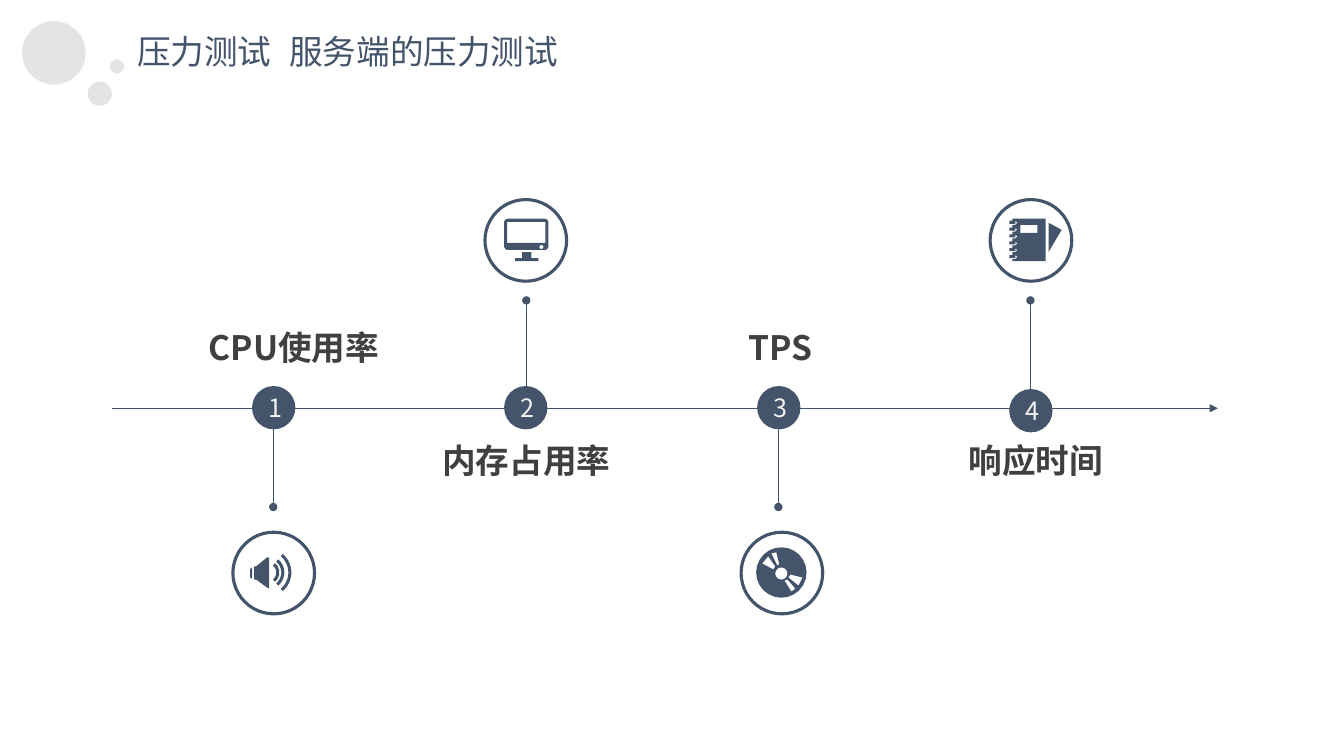
from math import cos, radians, sin

from lxml import etree
from pptx import Presentation
from pptx.dml.color import RGBColor
from pptx.enum.shapes import MSO_CONNECTOR, MSO_SHAPE
from pptx.enum.text import MSO_ANCHOR, PP_ALIGN
from pptx.oxml.ns import qn
from pptx.util import Inches, Pt

OVAL, BUBBLE = MSO_SHAPE.OVAL, MSO_SHAPE.FLOWCHART_CONNECTOR
STRAIGHT = MSO_CONNECTOR.STRAIGHT
TOP, MIDDLE = MSO_ANCHOR.TOP, MSO_ANCHOR.MIDDLE
LEFT, CENTER = PP_ALIGN.LEFT, PP_ALIGN.CENTER
FACE = "Noto Sans CJK SC"
HUES = {"navy": "44546A", "grey": "D9D9D9", "dark": "404040", "pale": "F2F2F2"}
HUES = {name: RGBColor.from_string(code) for name, code in HUES.items()}
HEAD = {"size": Pt(24), "name": FACE, "bold": False}
LABEL = {"size": Pt(24), "name": FACE, "bold": True}
DIGIT = {"size": Pt(18), "name": FACE, "bold": False}


def write(shape, text, style, hue, align=LEFT, anchor=TOP):
    frame = shape.text_frame
    frame.word_wrap, frame.vertical_anchor = True, anchor
    para = frame.paragraphs[0]
    para.alignment = align
    run = para.add_run()
    run.text = text
    for key, value in style.items():
        setattr(run.font, key, value)
    run.font.color.rgb = HUES[hue]
    etree.SubElement(run.font._element, qn("a:ea"), typeface=FACE)
    return para


def arc(x, y, r, start=0, end=360):
    """Points on a circle from one angle to another, in degrees."""
    turns = [radians(start + (end - start) * i / 24) for i in range(25)]
    return [(x + r * cos(t), y + r * sin(t)) for t in turns]


deck = Presentation()
deck.slide_width, deck.slide_height = Inches(13.33), Inches(7.5)
slide = deck.slides.add_slide(deck.slide_layouts[5])
shapes = slide.shapes
painted = []  # shape, fill, line width

# Heading
title = shapes.title
title.left, title.top = Inches(1.26), Inches(0.26)
title.width, title.height = Inches(1.53), Inches(0.5)
title.text_frame.margin_right = 0
write(title, "压力测试", HEAD, "navy")
topic = shapes.add_textbox(Inches(2.77), Inches(0.26), Inches(3.39), Inches(0.5))
write(topic, "服务端的压力测试", HEAD, "navy")

bubbles = []
for x, y, size in [(0.22, 0.21, 0.63), (0.87, 0.81, 0.24), (1.09, 0.59, 0.14)]:
    bubble = shapes.add_shape(BUBBLE, Inches(x), Inches(y), Inches(size), Inches(size))
    bubbles.append(bubble)
    painted.append((bubble, "grey", 0))

# Axis and stems
lines = [((1.11, 4.05), (12.08, 4.05), {"tailEnd": "triangle"})]
for x, top, low in [(2.71, 4.04, 5.03), (5.22, 2.98, 3.96),
                    (7.72, 4.04, 5.03), (10.22, 2.98, 3.96)]:
    lines.append(((x, top), (x, low), {"headEnd": "oval", "tailEnd": "oval"}))
for start, end, tips in lines:
    line = shapes.add_connector(STRAIGHT, *map(Inches, start + end))
    line.line.color.rgb, line.line.width = HUES["navy"], Pt(0.5)
    for tag, kind in tips.items():
        etree.SubElement(line.line._get_or_add_ln(), qn("a:" + tag), type=kind)
    etree.SubElement(line._element.spPr, qn("a:effectLst"))

# Steps: number dot, icon ring, label
steps = [
    ((2.5, 3.83), (2.31, 5.28), (1.87, 3.23, 2.09), "CPU使用率"),
    ((5, 3.83), (4.81, 1.98), (4.21, 4.35, 2.02), "内存占用率"),
    ((7.51, 3.83), (7.35, 5.28), (7.02, 3.23, 1.45), "TPS"),
    ((10.01, 3.86), (9.82, 1.98), (9.31, 4.35, 1.93), "响应时间"),
]
for number, (spot, ring, place, name) in enumerate(steps, 1):
    dot = shapes.add_shape(OVAL, *map(Inches, spot + (0.43, 0.43)))
    write(dot, str(number), DIGIT, "pale", CENTER, MIDDLE)
    circle = shapes.add_shape(OVAL, *map(Inches, ring + (0.81, 0.81)))
    painted += [(dot, "navy", 0), (circle, None, 2.25)]
    label = shapes.add_textbox(*map(Inches, place + (0.48,)))
    write(label, name, LABEL, "dark", CENTER).line_spacing = 0.94

# Icons, each a list of outlines
speaker = [
    [(2.65, 5.53), (2.67, 5.53), (2.67, 5.84), (2.65, 5.83),
     (2.54, 5.75), (2.52, 5.75), (2.52, 5.62), (2.54, 5.62)],
    [(2.48, 5.65), (2.5, 5.63), (2.5, 5.74), (2.48, 5.73)],
]
for r in (0.12, 0.17, 0.24):
    speaker.append(arc(2.65, 5.68, r, -50, 50) + arc(2.65, 5.68, r - 0.03, 50, -50))

screen = [
    arc(5.04, 2.21, 0.04, 180, 270) + arc(5.4, 2.21, 0.04, 270, 360)
    + arc(5.4, 2.44, 0.04, 0, 90) + arc(5.04, 2.44, 0.04, 90, 180),
    [(5.03, 2.2), (5.41, 2.2), (5.41, 2.41), (5.03, 2.41)],
    arc(5.37, 2.45, 0.02),
    [(5.18, 2.5), (5.27, 2.5), (5.27, 2.56), (5.34, 2.56),
     (5.34, 2.59), (5.11, 2.59), (5.11, 2.56), (5.18, 2.56)],
]
disc = [
    arc(7.75, 5.68, 0.25),
    arc(7.75, 5.69, 0.06),
    [(7.71, 5.61), (7.73, 5.6), (7.7, 5.48), (7.65, 5.49)],
    [(7.56, 5.59), (7.67, 5.65), (7.69, 5.62), (7.62, 5.52)],
    [(7.81, 5.75), (7.78, 5.76), (7.85, 5.87), (7.89, 5.84)],
    [(7.96, 5.73), (7.84, 5.7), (7.82, 5.73), (7.92, 5.81)],
]
cover = [(10.04, 2.59), (10.37, 2.59), (10.37, 2.17), (10.04, 2.17)]
for i in range(6):
    y = 2.19 + 0.068 * i
    cover += [(10.04, y), (10.01, y), (10.01, y + 0.03), (10.07, y + 0.03),
              (10.07, y), (10.09, y + 0.02), (10.07, y + 0.04), (10.04, y + 0.04)]
book = [
    cover,
    [(10.12, 2.23), (10.29, 2.23), (10.29, 2.31), (10.12, 2.31)],
    [(10.4, 2.21), (10.4, 2.5), (10.53, 2.28)],
]
for icon in (speaker, screen, disc, book):
    paths = [[(Inches(x), Inches(y)) for x, y in path] for path in icon]
    pen = shapes.build_freeform(*paths[0][0])
    for path in paths:
        if path is not paths[0]:
            pen.move_to(*path[0])
        pen.add_line_segments(path[1:], close=True)
    painted.append((pen.convert_to_shape(), "navy", 0))

# Fills and outlines
for shape, hue, width in painted:
    shape.shadow.inherit = False
    if hue:
        shape.fill.solid()
        shape.fill.fore_color.rgb = HUES[hue]
    else:
        shape.fill.background()
    if width:
        shape.line.color.rgb, shape.line.width = HUES["navy"], Pt(width)
    else:
        shape.line.fill.background()
for bubble in bubbles:
    tint = bubble._element.spPr.find(".//" + qn("a:srgbClr"))
    etree.SubElement(tint, qn("a:alpha"), val="70000")

deck.save("out.pptx")
